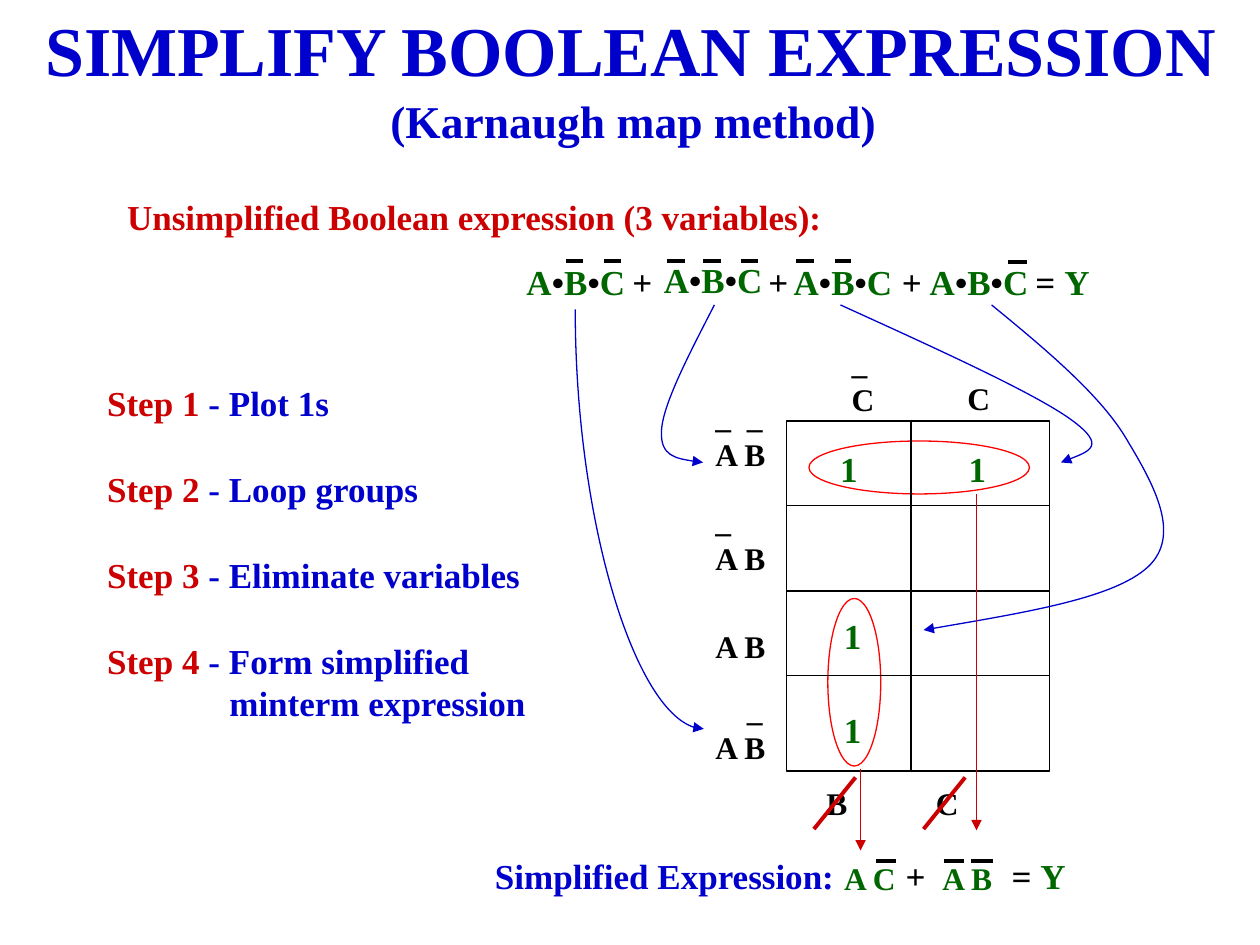
import pptx
import pptx.util
import pptx.dml.color
import pptx.enum.shapes
import pptx.enum.text
import pptx.oxml.ns
from dataclasses import dataclass
from lxml import etree


@dataclass(frozen=True)
class Theme:
    font: str = "Times New Roman"
    blue: str = "0000CC"
    red: str = "CC0000"
    loop: str = "FF0000"
    green: str = "006600"
    black: str = "000000"
    white: str = "FFFFFF"
    title: int = 40
    subtitle: int = 26
    text: int = 20
    label: int = 18
    thin: float = 0.75
    thick: float = 2.25


theme = Theme()
PX = 9144
TAB = 25
STEP_INDENT = 97
STEP_GAP = 25

TITLE = ("SIMPLIFY BOOLEAN EXPRESSION", (25, 0, 951, 77))
STEPS_BOX = (75, 298, 380, 277)
STEPS = [
    ("Step 1 ", "- Plot 1s"),
    ("Step 2 ", "- Loop groups"),
    ("Step 3 ", "- Eliminate variables"),
    ("Step 4 ", "- Form simplified"),
    ("", "minterm expression"),
]
TERM = [(mark, theme.black if mark == "•" else theme.green) for mark in "A•B•C"]
RESULT = [("= ", theme.black), ("Y", theme.green)]
PLUS = [("+", theme.black)]
ONE = [("1", theme.green)]

TEXTS = [
    ([("(Karnaugh map method)", theme.blue)], theme.subtitle, (300, 69, 406, 54)),
    ([("Unsimplified Boolean expression (3 variables):", theme.red)], theme.text, (91, 150, 572, 44)),
    ([("Simplified Expression:", theme.blue)], theme.text, (383, 673, 290, 44)),
    ([("A C", theme.green)], theme.label, (660, 677, 62, 40)),
    (PLUS, theme.text, (709, 673, 36, 44)),
    ([("A B", theme.green)], theme.label, (738, 677, 61, 40)),
    (RESULT, theme.text, (793, 673, 63, 44)),
    (RESULT, theme.text, (812, 202, 63, 44)),
    ([("C", theme.black)], theme.label, (758, 296, 38, 40)),
]
TEXTS += [(TERM, theme.text, (x, y, 98, 44)) for x, y in [(408, 202), (517, 200), (620, 202), (728, 202)]]
TEXTS += [(PLUS, theme.text, (x, 202, 36, 44)) for x in (492, 600, 706)]
ONES = [(657, 350), (759, 350), (660, 483), (660, 557)]
TEXTS += [(ONE, theme.text, (x, y, 34, 44)) for x, y in ONES]

LABELS = [
    (["_\t_", "A B"], (558, 310, 61, 70)),
    (["_", "A B"], (558, 393, 61, 70)),
    (["A B"], (558, 493, 61, 40)),
    (["\t_", "A B"], (558, 543, 61, 70)),
    (["_", "C"], (666, 267, 38, 70)),
]
MAP = (624, 334, 209, 278)
MAP_COLUMN = 723
MAP_ROWS = [401, 469, 536]
LOOPS = [(642, 350, 175, 42), (657, 475, 42, 133)]
OVERBARS = [
    (449, 207, 14), (479, 207, 14), (529, 207, 15), (558, 207, 14), (588, 207, 14),
    (632, 207, 14), (663, 207, 12), (800, 208, 15),
    (695, 683, 16), (749, 683, 16), (771, 683, 17),
]
STRUCK = [("B", 646, 36), ("C", 733, 38)]
DROPS = [(775, 392, 659), (683, 610, 675)]
CURVES = [
    [(667, 242), (744, 277), (821, 312), (850, 333), (879, 354), (860, 360), (842, 367)],
    [(567, 242), (547, 281), (526, 321), (525, 342), (524, 362), (541, 365), (558, 367)],
    [(787, 242), (831, 278), (875, 315), (895, 350), (916, 385), (938, 425),
     (911, 450), (884, 475), (808, 487), (733, 500)],
]
LONG_CURVE = (674, 361, 341, 463)

presentation = pptx.Presentation()
presentation.slide_width = 1000 * PX
presentation.slide_height = 750 * PX
slide = presentation.slides.add_slide(presentation.slide_layouts[1])
qn = pptx.oxml.ns.qn
Shape = pptx.enum.shapes.MSO_SHAPE
Connector = pptx.enum.shapes.MSO_CONNECTOR


def emu(values):
    return [value * PX for value in values]


def rgb(colour):
    return pptx.dml.color.RGBColor.from_string(colour)


def place(shape, box):
    shape.left, shape.top, shape.width, shape.height = emu(box)


def prepare(text_frame):
    text_frame.word_wrap = False
    text_frame.auto_size = pptx.enum.text.MSO_AUTO_SIZE.NONE
    text_frame.vertical_anchor = pptx.enum.text.MSO_ANCHOR.TOP


def write(paragraph, runs, size):
    for text, colour in runs:
        run = paragraph.add_run()
        run.text = text
        run.font.name = theme.font
        run.font.size = pptx.util.Pt(size)
        run.font.bold = True
        run.font.color.rgb = rgb(colour)


def add_text(lines, size, box):
    text_frame = slide.shapes.add_textbox(*emu(box)).text_frame
    prepare(text_frame)
    for index, runs in enumerate(lines):
        paragraph = text_frame.add_paragraph() if index else text_frame.paragraphs[0]
        if "\t" in runs[0][0]:
            tabs = etree.SubElement(paragraph._p.get_or_add_pPr(), qn("a:tabLst"))
            etree.SubElement(tabs, qn("a:tab"), pos=str(TAB * PX), algn="l")
        write(paragraph, runs, size)


def style_line(shape, colour, width=theme.thin, arrow=False):
    shape.line.color.rgb = rgb(colour)
    shape.line.width = pptx.util.Pt(width)
    if arrow:
        etree.SubElement(shape.line._get_or_add_ln(), qn("a:tailEnd"), type="triangle")


def add_line(ends, colour, width=theme.thin, arrow=False, kind=Connector.STRAIGHT):
    line = slide.shapes.add_connector(kind, *emu(ends))
    style_line(line, colour, width, arrow)
    etree.SubElement(line._element.spPr, qn("a:effectLst"))
    return line


def add_curve(points):
    builder = slide.shapes.build_freeform(*points[0], scale=PX)
    builder.add_line_segments(points[1:], close=False)
    curve = builder.convert_to_shape()
    curve.shadow.inherit = False
    curve.fill.background()
    style_line(curve, theme.blue, arrow=True)
    segments = list(curve._element.iter(qn("a:lnTo")))
    for start in range(0, len(segments), 3):
        bezier = etree.SubElement(segments[start].getparent(), qn("a:cubicBezTo"))
        for segment in segments[start:start + 3]:
            bezier.append(segment[0])
            segment.getparent().remove(segment)


title_text, title_box = TITLE
title = slide.shapes.title
place(title, title_box)
prepare(title.text_frame)
title.text_frame.paragraphs[0].alignment = pptx.enum.text.PP_ALIGN.CENTER
write(title.text_frame.paragraphs[0], [(title_text, theme.blue)], theme.title)

steps = slide.placeholders[1]
place(steps, STEPS_BOX)
prepare(steps.text_frame)
steps.text_frame.word_wrap = True
for index, (name, action) in enumerate(STEPS):
    paragraph = steps.text_frame.add_paragraph() if index else steps.text_frame.paragraphs[0]
    properties = paragraph._p.get_or_add_pPr()
    properties.set("marL", str(0 if name else STEP_INDENT * PX))
    properties.set("indent", "0")
    etree.SubElement(properties, qn("a:buNone"))
    paragraph.space_before = pptx.util.Pt(STEP_GAP if index and name else 0)
    write(paragraph, [run for run in ((name, theme.red), (action, theme.blue)) if run[0]], theme.text)

for kind, box, colour in [(Shape.RECTANGLE, MAP, theme.black)] + [(Shape.OVAL, box, theme.loop) for box in LOOPS]:
    shape = slide.shapes.add_shape(kind, *emu(box))
    shape.shadow.inherit = False
    if kind == Shape.RECTANGLE:
        shape.fill.solid()
        shape.fill.fore_color.rgb = rgb(theme.white)
    else:
        shape.fill.background()
    style_line(shape, colour)

left, top, width, height = MAP
add_line((MAP_COLUMN, top, MAP_COLUMN, top + height), theme.black)
for y in MAP_ROWS:
    add_line((left, y, left + width, y), theme.black)

for lines, box in LABELS:
    add_text([[(line, theme.black)] for line in lines], theme.label, box)
for runs, size, box in TEXTS:
    add_text([runs], size, box)
for x, y, length in OVERBARS:
    add_line((x, y, x + length, y), theme.black, theme.thick)

for points in CURVES:
    add_curve(points)
long_curve = add_line(LONG_CURVE, theme.blue, arrow=True, kind=Connector.CURVE)
long_curve._element.spPr.find(qn("a:xfrm")).set("rot", "16200000")
long_curve._element.spPr.find(qn("a:prstGeom")).set("prst", "curvedConnector2")

for x, start, end in DROPS:
    add_line((x, start, x, end), theme.red, arrow=True)
for letter, x, width in STRUCK:
    add_text([[(letter, theme.black)]], theme.label, (x, 617, width, 40))
    add_line((x, 658, x + 33, 617), theme.red, theme.thick)

presentation.save("out.pptx")
